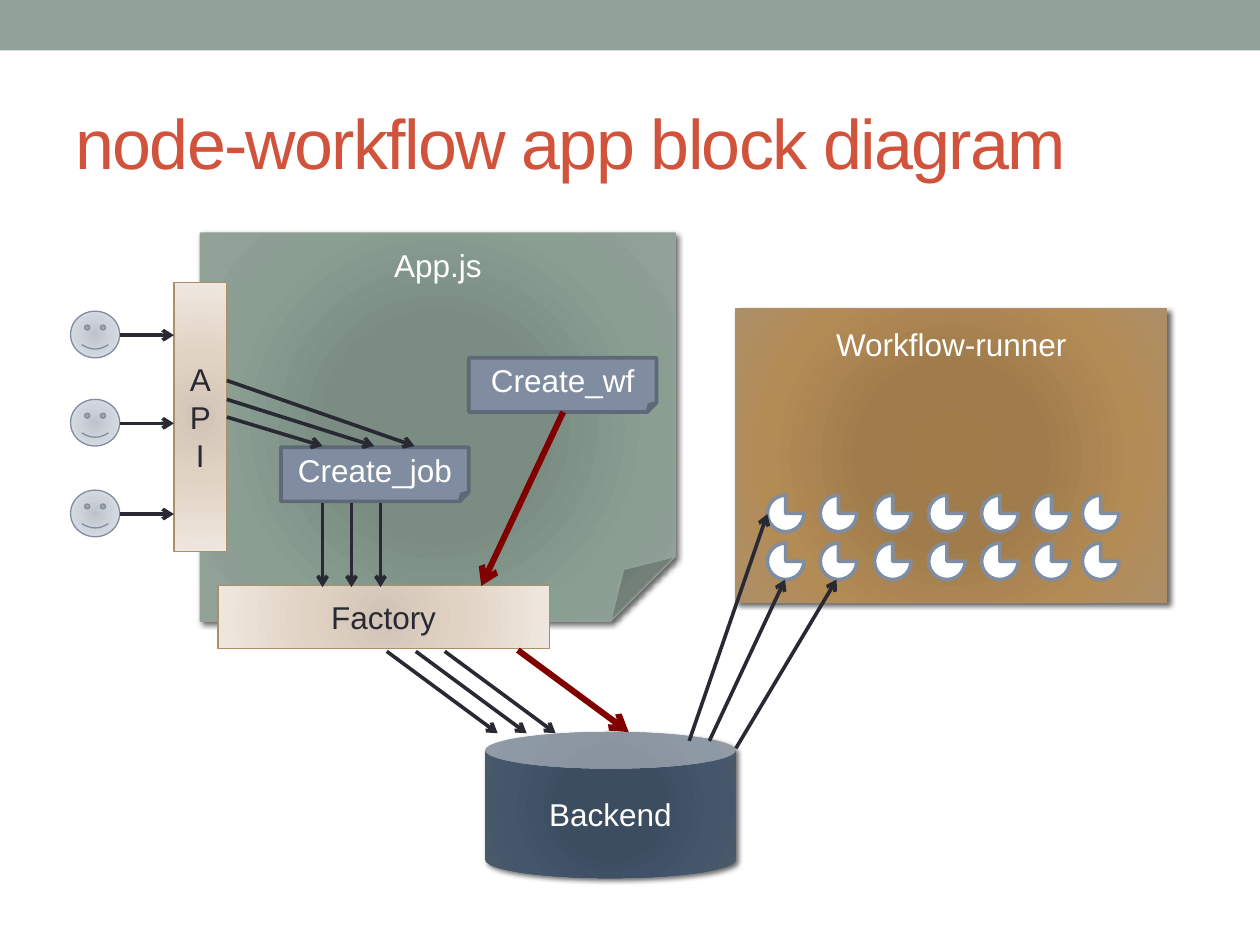
from lxml.etree import SubElement
from pptx import Presentation
from pptx.dml.color import RGBColor
from pptx.enum.shapes import MSO_CONNECTOR, MSO_SHAPE
from pptx.enum.text import MSO_ANCHOR, PP_ALIGN
from pptx.oxml import parse_xml
from pptx.oxml.ns import nsdecls, qn
from pptx.util import Inches, Pt

DARK, WHITE, RED, SLATE, TAN = "292934", "FFFFFF", "800000", "808DA0", "AD8F67"
BACKEND = ((0, "3B4D61"), (34, "3C4D60"), (70, "43566B"), (100, "4C5A6A"))
APP = ((0, "7B8E82"), (34, "7B8D83"), (70, "8A9E92"), (100, "93A299"))
RUNNER = ((0, "A37D49"), (34, "A07C4C"), (70, "B38B55"), (100, "AD8F67"))
CREAM = ((0, "D1C4B6"), (45, "E1D3C4"), (100, "EFE7DF"))
FACE = ((0, "BEC3CB"), (45, "CDD2DB"), (100, "E3E6EB"))


def rgb(color):
    """Turn a hex string into a colour."""
    return RGBColor.from_string(color)


def set_fill(sp, fill):
    """Fill with one colour or with radial gradient stops."""
    if isinstance(fill, str):
        sp.fill.solid()
        sp.fill.fore_color.rgb = rgb(fill)
        return
    stops = "".join(
        f'<a:gs pos="{pos * 1000}"><a:srgbClr val="{color}"/></a:gs>' for pos, color in fill
    )
    sp.fill.background()
    spPr = sp._element.spPr
    spPr.replace(spPr.find(qn("a:noFill")), parse_xml(
        f'<a:gradFill {nsdecls("a")} rotWithShape="1"><a:gsLst>{stops}</a:gsLst>'
        '<a:path path="circle"><a:fillToRect l="50000" t="50000" r="50000" b="50000"/>'
        "</a:path></a:gradFill>"
    ))


def add_shadow(sp):
    """Cast a soft shadow to the lower right."""
    effects = sp._element.spPr.find(qn("a:effectLst"))
    effects.append(parse_xml(
        f'<a:outerShdw {nsdecls("a")} blurRad="{Pt(3)}" dist="{Pt(2)}" dir="2700000" '
        'algn="tl" rotWithShape="0"><a:srgbClr val="000000"><a:alpha val="60000"/>'
        "</a:srgbClr></a:outerShdw>"
    ))


def add_block(s, kind, box, fill, line=None, width=0.75, shadow=False):
    """Add a filled preset shape."""
    sp = s.shapes.add_shape(kind, *(Inches(v) for v in box))
    set_fill(sp, fill)
    if line:
        sp.line.color.rgb = rgb(line)
        sp.line.width = Pt(width)
    else:
        sp.line.fill.background()
    sp.shadow.inherit = False
    if shadow:
        add_shadow(sp)
    return sp


def add_label(sp, text, color=WHITE, top=None):
    """Write centred text, in the middle or at a distance from the top."""
    tf = sp.text_frame
    tf.word_wrap = True
    tf.text = text
    tf.vertical_anchor = MSO_ANCHOR.MIDDLE
    if top is not None:
        tf.vertical_anchor = MSO_ANCHOR.TOP
        tf.margin_top = Inches(top)
    for p in tf.paragraphs:
        p.alignment = PP_ALIGN.CENTER
        p.font.size = Pt(18)
        p.font.name = "Arial"
        p.font.color.rgb = rgb(color)


def add_arrow(s, x1, y1, x2, y2, color=DARK, width=2.08):
    """Add a straight line with an open arrowhead at its end."""
    cx = s.shapes.add_connector(MSO_CONNECTOR.STRAIGHT, *(Inches(v) for v in (x1, y1, x2, y2)))
    cx.line.color.rgb = rgb(color)
    cx.line.width = Pt(width)
    SubElement(cx.line._get_or_add_ln(), qn("a:tailEnd"), type="arrow")
    SubElement(cx._element.spPr, qn("a:effectLst"))


def add_title(s, text):
    """Place and format the title."""
    sp = s.shapes.title
    sp.left, sp.top, sp.width, sp.height = (Inches(v) for v in (0.5, 0.58, 9, 1.08))
    tf = sp.text_frame
    tf.text = text
    tf.vertical_anchor = MSO_ANCHOR.MIDDLE
    p = tf.paragraphs[0]
    p.alignment = PP_ALIGN.LEFT
    p.font.size = Pt(40)
    p.font.name = "Arial"
    p.font.color.rgb = rgb("D2533C")
    p.runs[0]._r.get_or_add_rPr().set("spc", "-100")


def add_blocks(s):
    """Add the parts of the application."""
    rect, folded = MSO_SHAPE.RECTANGLE, MSO_SHAPE.FOLDED_CORNER
    add_block(s, rect, (0, 0, 10, 0.4), "93A299")
    backend = add_block(s, MSO_SHAPE.CAN, (3.85, 5.81, 1.99, 1.16), BACKEND, shadow=True)
    add_label(backend, "Backend")
    app = add_block(s, folded, (1.59, 1.85, 3.77, 3.08), APP, "93A299", shadow=True)
    add_label(app, "App.js", top=0.1)
    runner = add_block(s, rect, (5.84, 2.45, 3.42, 2.33), RUNNER, TAN, shadow=True)
    add_label(runner, "Workflow-runner", top=0.13)
    factory = add_block(s, rect, (1.73, 4.65, 2.63, 0.5), CREAM, TAN)
    add_label(factory, "Factory", DARK)
    api = add_block(s, rect, (1.38, 2.24, 0.42, 2.14), CREAM, TAN)
    add_label(api, "A\nP\nI", DARK)
    for text, x, y in (("Create_wf", 3.72, 2.84), ("Create_job", 2.23, 3.55)):
        add_label(add_block(s, folded, (x, y, 1.49, 0.43), SLATE, "5F6876", 2.08), text)


def add_runners(s):
    """Add the two rows of workers."""
    for y in (3.93, 4.31):
        for x in (6.09, 6.51, 6.94, 7.37, 7.79, 8.2, 8.59):
            add_block(s, MSO_SHAPE.PIE, (x, y, 0.29, 0.29), WHITE, SLATE, 2.08)


def add_users(s):
    """Add the users and their calls to the API."""
    for y in (2.47, 3.17, 3.89):
        add_block(s, MSO_SHAPE.SMILEY_FACE, (0.56, y, 0.39, 0.37), FACE, SLATE)
        add_arrow(s, 0.95, y + 0.19, 1.38, y + 0.19)


def add_flows(s):
    """Add the arrows between the parts."""
    add_arrow(s, 4.47, 3.27, 3.82, 4.65, RED, 3.5)
    add_arrow(s, 4.11, 5.16, 4.99, 5.81, RED, 3.5)
    for y, x in ((3.31, 2.56), (3.17, 2.97), (3.02, 3.29)):
        add_arrow(s, 1.8, y, x, 3.54)
    for i in range(3):
        x = 2.56 + 0.23 * i
        add_arrow(s, x, 3.99, x, 4.66)
        add_arrow(s, x + 0.51, 5.17, x + 1.39, 5.82)
    for flow in ((5.47, 5.88, 6.09, 4.08), (5.63, 5.88, 6.23, 4.6), (5.84, 5.94, 6.64, 4.6)):
        add_arrow(s, *flow)


def main():
    """Build the slide and save it."""
    prs = Presentation()
    prs.slide_width, prs.slide_height = Inches(10), Inches(7.5)
    s = prs.slides.add_slide(prs.slide_layouts[5])
    add_title(s, "node-workflow app block diagram")
    add_blocks(s)
    add_runners(s)
    add_users(s)
    add_flows(s)
    prs.save("out.pptx")


if __name__ == "__main__":
    main()
